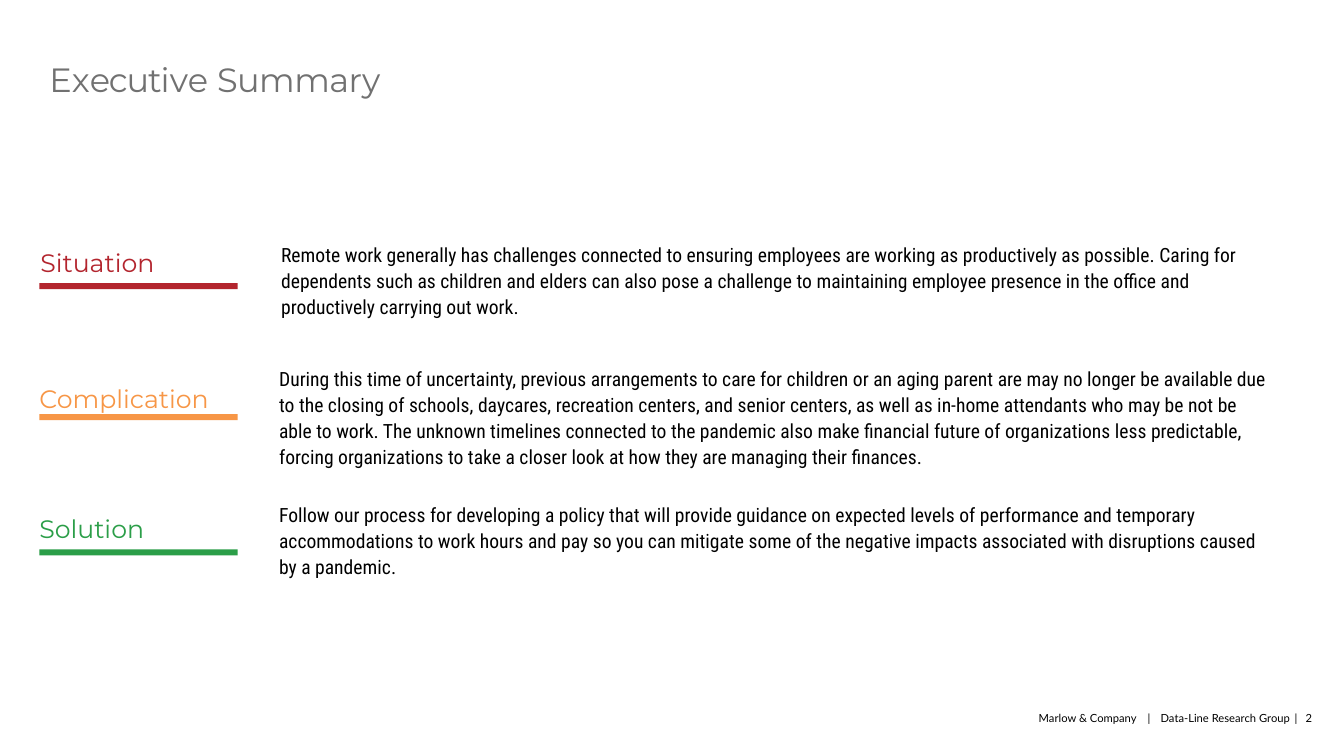
from pptx import Presentation
from pptx import util as u
from pptx.dml.color import RGBColor
from pptx.enum import shapes, text
from pptx.oxml import parse_xml
from pptx.oxml.ns import nsdecls

COLORS = {"title": "717171", "text": "000000", "situation": "B3252E",
          "complication": "F79646", "solution": "2B9E48"}

TITLE_RUNS = [("E", -0.8), ("x", -1.3), ("ecuti", -0.8), ("v", -1.6),
              ("e ", 0), ("Summary", -0.4)]

# color, heading, heading box, bar top, body box, body
SECTIONS = [
    ("situation", "Situation", (0.4, 2.42, 2.58, 0.33), 2.81, (2.79, 2.39, 9.79, 1.15),
     "Remote work generally has challenges connected to ensuring employees are working as "
     "productively as possible. Caring for dependents such as children and elders can also pose "
     "a challenge to maintaining employee presence in the office and productively carrying out "
     "work."),
    ("complication", "Complication", (0.39, 3.77, 2.58, 0.33), 4.11, (2.77, 3.62, 9.81, 1.15),
     "During this time of uncertainty, previous arrangements to care for children or an aging "
     "parent are may no longer be available due to the closing of schools, daycares, recreation "
     "centers, and senior centers, as well as in-home attendants who may be not be able to work. "
     "The unknown timelines connected to the pandemic also make financial future of "
     "organizations less predictable, forcing organizations to take a closer look at how they "
     "are managing their finances."),
    ("solution", "Solution", (0.39, 5.06, 2.58, 0.33), 5.45, (2.77, 4.97, 9.81, 1.15),
     "Follow our process for developing a policy that will provide guidance on expected levels "
     "of performance and temporary accommodations to work hours and pay so you can mitigate some "
     "of the negative impacts associated with disruptions caused by a pandemic."),
]

FOOTER_PARTS = ["Marlow & Company", "|", "Data-Line Research Group", "|", "2"]
FOOTER_TABS = [1.08, 1.21, 2.54, 2.65]


def inches(box):
    return [u.Inches(v) for v in box]


def add_run(p, words, font, size, color):
    r = p.add_run()
    r.text = words
    r.font.name = font
    r.font.size = u.Pt(size)
    r.font.color.rgb = RGBColor.from_string(COLORS[color])
    return r


def add_text(s, box, words, font, size, color):
    """Add a text box without insets and return its paragraph."""
    tf = s.shapes.add_textbox(*inches(box)).text_frame
    tf.word_wrap = True
    tf.margin_left = tf.margin_top = tf.margin_right = tf.margin_bottom = 0
    p = tf.paragraphs[0]
    p.line_spacing = 1.1
    add_run(p, words, font, size, color)
    return p


def add_title(s, box):
    sp = s.shapes.title
    sp.left, sp.top, sp.width, sp.height = inches(box)
    tf = sp.text_frame
    tf.auto_size = text.MSO_AUTO_SIZE.NONE
    tf.vertical_anchor = text.MSO_ANCHOR.TOP
    p = tf.paragraphs[0]
    p.alignment = text.PP_ALIGN.LEFT
    p.line_spacing = 0.9
    for words, spacing in TITLE_RUNS:
        r = add_run(p, words, "Montserrat", 24, "title")
        r.font._element.set("spc", str(round(spacing * 100)))


def add_section(s, color, heading, heading_box, bar_top, body_box, body):
    add_text(s, body_box, body, "Roboto Condensed", 14, "text")
    add_text(s, heading_box, heading, "Montserrat", 18, color)
    bar = s.shapes.add_shape(shapes.MSO_SHAPE.RECTANGLE, *inches((0.39, bar_top, 1.97, 0.06)))
    bar.shadow.inherit = False
    bar.fill.solid()
    bar.fill.fore_color.rgb = RGBColor.from_string(COLORS[color])
    bar.line.fill.background()


def add_footer(s, box):
    p = add_text(s, box, "\t".join(FOOTER_PARTS), "Lato", 8, "text")
    stops = "".join(f'<a:tab pos="{u.Inches(x)}" algn="l"/>' for x in FOOTER_TABS)
    tabs = parse_xml(f'<a:tabLst {nsdecls("a")}>{stops}</a:tabLst>')
    p._p.get_or_add_pPr().append(tabs)


def main():
    prs = Presentation()
    prs.slide_width, prs.slide_height = inches((13.34, 7.5))
    s = prs.slides.add_slide(prs.slide_layouts[5])
    add_title(s, (0.39, 0.58, 3.97, 1.27))
    for section in SECTIONS:
        add_section(s, *section)
    add_footer(s, (10.31, 7.04, 2.75, 0.2))
    prs.save("out.pptx")


if __name__ == "__main__":
    main()
